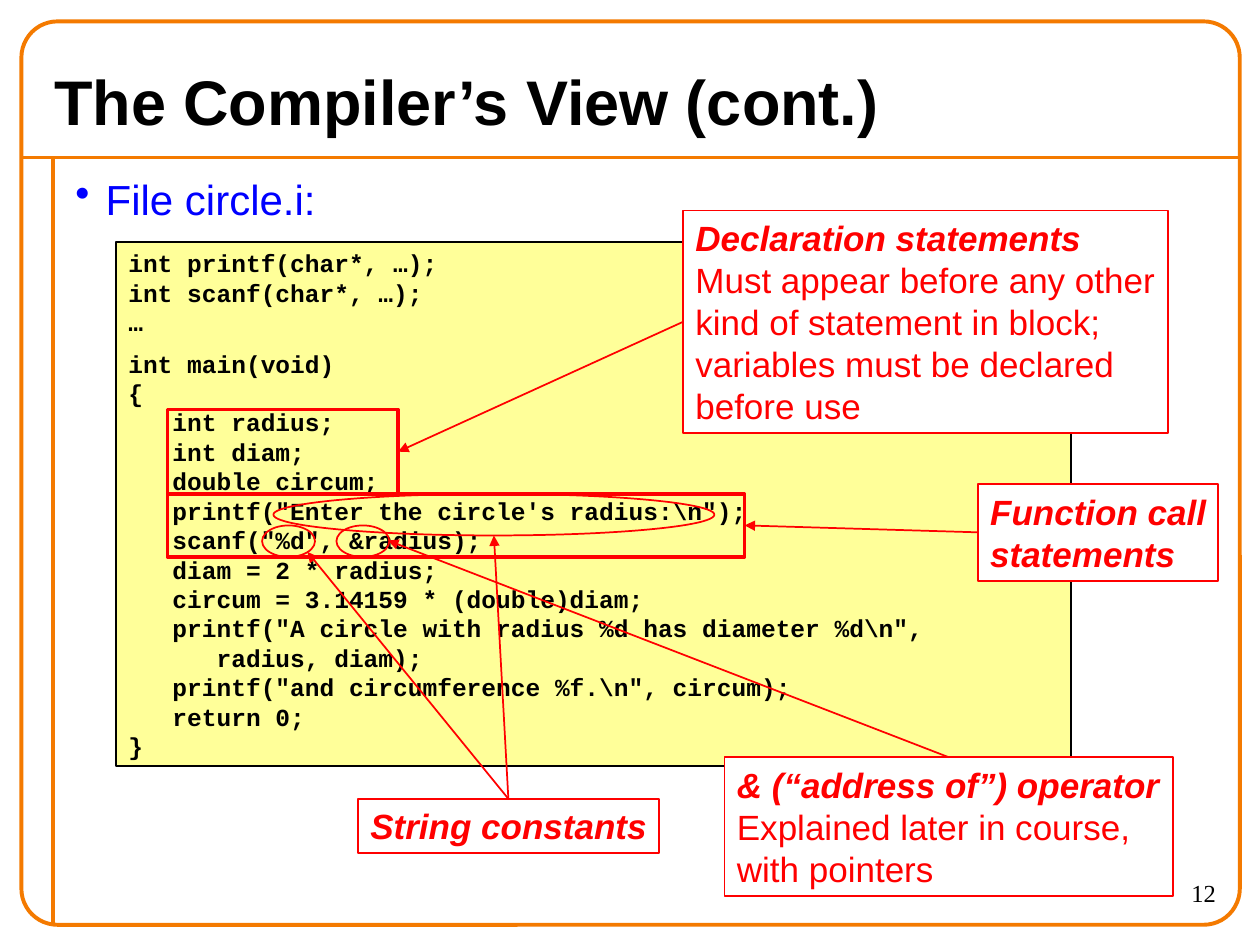
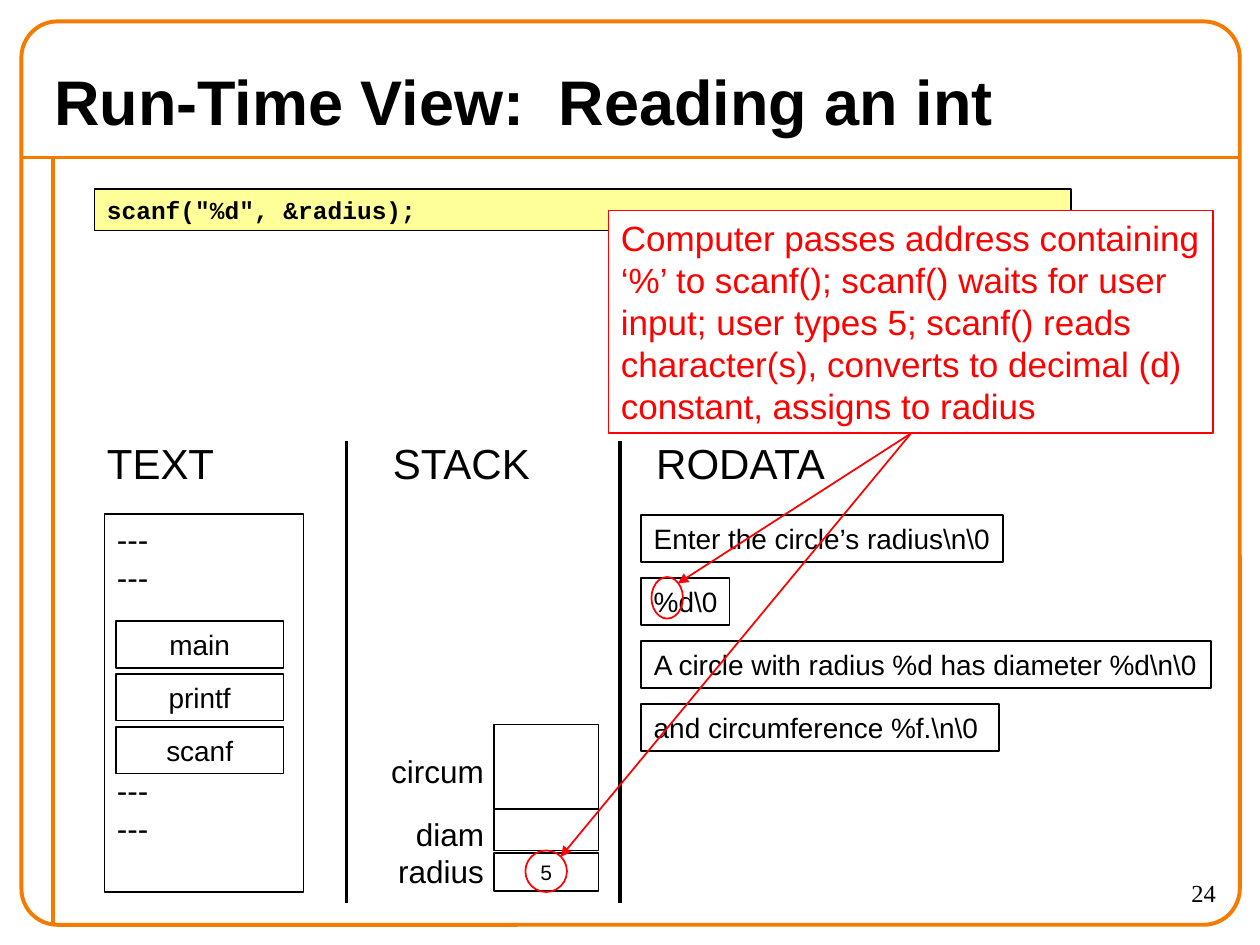
from lxml import etree
from pptx import Presentation
from pptx.dml.color import RGBColor
from pptx.enum import shapes, text
from pptx.oxml import ns
from pptx.util import Inches, Pt

ORANGE = RGBColor(0xF4, 0x7A, 0x00)
RED = RGBColor(0xFF, 0x00, 0x00)
BLUE = RGBColor(0x00, 0x00, 0xFF)
BLACK = RGBColor(0x00, 0x00, 0x00)
WHITE = RGBColor(0xFF, 0xFF, 0xFF)
YELLOW = RGBColor(0xFF, 0xFF, 0x99)

RECT = shapes.MSO_SHAPE.RECTANGLE
OVAL = shapes.MSO_SHAPE.OVAL
LEFT, CENTER, RIGHT = text.PP_ALIGN.LEFT, text.PP_ALIGN.CENTER, text.PP_ALIGN.RIGHT
TOP, MIDDLE = text.MSO_ANCHOR.TOP, text.MSO_ANCHOR.MIDDLE
SIDE_TOP, SIDE_LEFT, SIDE_BOTTOM, SIDE_RIGHT = range(4)

CIRCLE_DECLARATIONS = """int printf(char*, …);
int scanf(char*, …);
…"""
CIRCLE_MAIN = r"""int main(void)
{
   int radius;
   int diam;
   double circum;
   printf("Enter the circle's radius:\n");
   scanf("%d", &radius);
   diam = 2 * radius;
   circum = 3.14159 * (double)diam;
   printf("A circle with radius %d has diameter %d\n",
      radius, diam);
   printf("and circumference %f.\n", circum);
   return 0;
}"""


def add_xml(parent, tag, **attrs):
    return etree.SubElement(parent, ns.qn(tag), attrs)


def set_text(sp, paragraphs, size, color=BLACK, name="Arial", bold=False,
             align=LEFT, anchor=TOP, wrap=True, gap=0):
    """Fill a shape with paragraphs, separated by gap points."""
    tf = sp.text_frame
    tf.word_wrap = wrap
    tf.auto_size = text.MSO_AUTO_SIZE.NONE
    tf.vertical_anchor = anchor
    for i, content in enumerate(paragraphs):
        p = tf.add_paragraph() if i else tf.paragraphs[0]
        p.text = content
        p.alignment = align
        p.line_spacing = Pt(1.2 * size)
        p.space_before = Pt(gap if i else 0)
        f = p.font
        f.name, f.size, f.bold = name, Pt(size), bold
        f.color.rgb = color
    return tf


def add_box(slide, at, color=BLACK, width=1, fill=None, kind=RECT):
    sp = slide.shapes.add_shape(kind, *map(Inches, at))
    sp.shadow.inherit = False
    sp.line.color.rgb = color
    sp.line.width = Pt(width)
    if fill is None:
        sp.fill.background()
    else:
        sp.fill.solid()
        sp.fill.fore_color.rgb = fill
    return sp


def add_label(slide, at, content, size, **style):
    sp = slide.shapes.add_textbox(*map(Inches, at))
    set_text(sp, [content], size, **style)
    return sp


def add_line(slide, start, end, color=BLACK, width=2.0):
    c = slide.shapes.add_connector(shapes.MSO_CONNECTOR.STRAIGHT,
                                   *map(Inches, (*start, *end)))
    c.line.color.rgb = color
    c.line.width = Pt(width)
    add_xml(c._element.spPr, "a:effectLst")
    return c


def add_arrow(slide, callout, side, end, target=None):
    """Red arrow from a callout side to a point, or to a target's right side."""
    c = add_line(slide, end, end, RED, 1)
    c.begin_connect(callout, side)
    if target is not None:
        c.end_connect(target, SIDE_RIGHT)
    add_xml(c.line._get_or_add_ln(), "a:tailEnd", type="triangle")


def add_callout(slide, at, lines, headings=0):
    """Red note whose first lines are bold italic headings."""
    sp = add_box(slide, at, RED, fill=WHITE)
    tf = set_text(sp, lines, 20, RED, anchor=MIDDLE, wrap=False)
    for p in tf.paragraphs[:headings]:
        p.font.bold = p.font.italic = True
    return sp


def add_code(slide, at, blocks):
    sp = add_box(slide, at, fill=YELLOW)
    set_text(sp, blocks, 14, name="Courier New", bold=True, gap=7)


def add_bullet(slide, at, content):
    sp = slide.shapes.add_textbox(*map(Inches, at))
    pPr = sp.text_frame.paragraphs[0]._p.get_or_add_pPr()
    pPr.set("marL", str(Inches(0.24)))
    pPr.set("indent", str(-Inches(0.24)))
    add_xml(pPr, "a:buChar", char="•")
    set_text(sp, [content], 24, BLUE)


def add_slide(prs, title, number):
    """Title-only slide with the orange frame and the page number."""
    slide = prs.slides.add_slide(prs.slide_layouts[5])
    add_line(slide, (0.17, 1.25), (9.83, 1.25), ORANGE, 2.25)
    add_line(slide, (0.42, 1.25), (0.42, 7.33), ORANGE, 2.25)
    frame = add_box(slide, (0.17, 0.17, 9.67, 7.17), ORANGE, 2.25,
                    kind=shapes.MSO_SHAPE.ROUNDED_RECTANGLE)
    frame.adjustments[0] = 0.04
    sp = slide.shapes.title
    sp.left, sp.top, sp.width, sp.height = map(Inches, (0.33, 0.42, 9.33, 0.75))
    set_text(sp, [title], 36, bold=True, anchor=MIDDLE)
    add_label(slide, (8.75, 6.92, 1, 0.42), str(number), 14,
              name="Times New Roman", align=RIGHT)
    return slide


def build_compiler_view(prs):
    slide = add_slide(prs, "The Compiler’s View (cont.)", 12)
    add_bullet(slide, (0.5, 1.33, 9.25, 0.6), "File circle.i:")
    add_code(slide, (0.92, 1.92, 7.58, 4.16), [CIRCLE_DECLARATIONS, CIRCLE_MAIN])

    # Marked parts of the code
    declarations = add_box(slide, (1.33, 3.25, 1.83, 0.67), RED, 2)
    calls = add_box(slide, (1.33, 3.92, 4.58, 0.5), RED, 2)
    for at in ((2.17, 3.92, 3.5, 0.33),
               (2.08, 4.17, 0.42, 0.25),
               (2.67, 4.17, 0.42, 0.25)):
        add_box(slide, at, RED, kind=OVAL)

    # Callouts and their arrows
    declaration_note = add_callout(slide, (5.42, 1.67, 3.85, 1.77), [
        "Declaration statements",
        "Must appear before any other",
        "kind of statement in block;",
        "variables must be declared",
        "before use"], headings=1)
    call_note = add_callout(slide, (7.76, 3.84, 1.91, 0.77),
                            ["Function call", "statements"], headings=2)
    string_note = add_callout(slide, (2.84, 6.34, 2.39, 0.43),
                              ["String constants"], headings=1)
    address_note = add_callout(slide, (5.75, 6.01, 3.56, 1.1), [
        "& (“address of”) operator",
        "Explained later in course,",
        "with pointers"], headings=1)
    add_arrow(slide, declaration_note, SIDE_LEFT, (3.18, 3.58), declarations)
    add_arrow(slide, call_note, SIDE_LEFT, (5.93, 4.17), calls)
    add_arrow(slide, string_note, SIDE_TOP, (3.92, 4.25))
    add_arrow(slide, string_note, SIDE_TOP, (2.44, 4.38))
    add_arrow(slide, address_note, SIDE_TOP, (3.08, 4.29))


def build_run_time_view(prs):
    slide = add_slide(prs, "Run-Time View:  Reading an int", 24)
    add_code(slide, (0.75, 1.5, 7.75, 0.33), ['scanf("%d", &radius);'])

    # Memory sections
    for x, width, name in ((0.75, 1.05, "TEXT"), (3.02, 1.28, "STACK"),
                           (5.11, 1.54, "RODATA")):
        add_label(slide, (x, 3.42, width, 0.5), name, 24, wrap=False)
    for x in (2.75, 4.92):
        add_line(slide, (x, 3.5), (x, 7.17))

    # TEXT: functions between other code
    panel = add_box(slide, (0.83, 4.08, 1.58, 3))
    set_text(panel, ["---\n---"] * 2, 18, gap=100)
    for i, name in enumerate(("main", "printf", "scanf")):
        sp = add_box(slide, (0.92, 4.93 + 0.42 * i, 1.33, 0.37))
        set_text(sp, [name], 16, align=CENTER, anchor=MIDDLE)

    # STACK: variables
    for name, label_top, top, height in (("circum", 5.92, 5.75, 0.67),
                                         ("diam", 6.42, 6.42, 0.33),
                                         ("radius", 6.71, 6.77, 0.3)):
        cell = add_box(slide, (3.92, top, 0.83, height))
        add_label(slide, (3, label_top, 0.94, 0.4), name, 18, align=RIGHT)
    set_text(cell, ["5"], 12, align=CENTER, anchor=MIDDLE)

    # RODATA: string constants
    for i, (width, string) in enumerate((
            (2.87, r"Enter the circle’s radius\n\0"),
            (0.7, r"%d\0"),
            (4.52, r"A circle with radius %d has diameter %d\n\0"),
            (2.84, r"and circumference %f.\n\0"))):
        sp = add_box(slide, (5.09, 4.09 + 0.5 * i, width, 0.37))
        set_text(sp, [string], 16, anchor=MIDDLE, wrap=False)

    # Callout with arrows to the format string and the stored value
    note = add_callout(slide, (4.83, 1.67, 4.8, 1.77), [
        "Computer passes address containing",
        "‘%’ to scanf(); scanf() waits for user",
        "input; user types 5; scanf() reads",
        "character(s), converts to decimal (d)",
        "constant, assigns to radius"])
    for at, tip in (((5.17, 4.58, 0.25, 0.33), (5.38, 4.63)),
                    ((4.17, 6.75, 0.33, 0.33), (4.45, 6.8))):
        add_box(slide, at, RED, kind=OVAL)
        add_arrow(slide, note, SIDE_BOTTOM, tip)


def main():
    prs = Presentation()
    prs.slide_width, prs.slide_height = Inches(10), Inches(7.5)
    build_compiler_view(prs)
    build_run_time_view(prs)
    prs.save("out.pptx")


if __name__ == "__main__":
    main()
